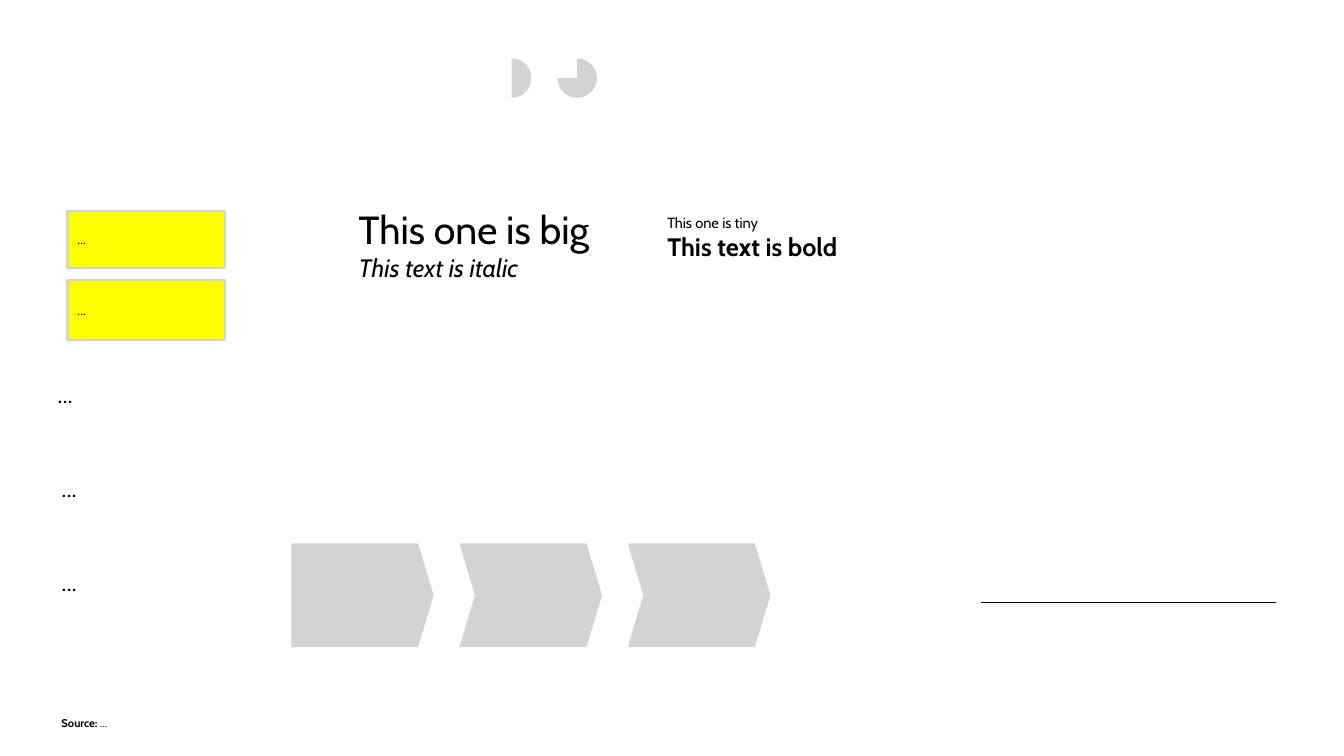
from lxml import etree
from pptx import Presentation
from pptx.dml.color import RGBColor
from pptx.enum.shapes import MSO_CONNECTOR, MSO_SHAPE
from pptx.enum.text import MSO_ANCHOR, MSO_AUTO_SIZE as AutoSize, PP_ALIGN
from pptx.oxml.ns import qn
from pptx.util import Inches, Pt

# Content: each paragraph is a list of (text, size, style) runs
WIDTH, HEIGHT = 13.33, 7.5
FONT = "Cabin"
COLORS = {"text": "000000", "grey": "D3D3D3", "note": "FFFF00", "paper": "FFFFFF"}
BODY = [[("...", 18, "")]]
NOTE = [[("...", 10, "")]]
TINY_BOLD = [[("This one is tiny", 10.5, "")], [("This text is bold", 18, "bold")]]
BIG_ITALIC = [[("This one is big", 28, "")], [("This text is italic", 18, "italic")]]
SOURCE = [[("Source:", 8, "bold"), (" ...", 8, "")]]
PIE_ENDS = [90, 180]
STEPS = [MSO_SHAPE.PENTAGON, MSO_SHAPE.CHEVRON, MSO_SHAPE.CHEVRON]

# Grid, in inches
MARGIN = 0.61
BODY_LEFTS, BODY_TOP, BODY_STEP = [0.57, MARGIN, MARGIN], 3.75, 0.935
NOTE_ROWS = [(2.09, 0.57), (2.78, 0.59)]
PIE_LEFT, PIE_TOP, PIE_STEP, PIE_SIZE = 4.88, 0.58, 0.65, 0.39
STEP_LEFT, STEP_TOP, STEP_PITCH = 2.9, 5.4, 1.67
RULE_LEFT, RULE_RIGHT, RULE_TOP = 9.73, 12.66, 5.98


def color(name):
    return RGBColor.from_string(COLORS[name])


def write(shape, paragraphs):
    frame = shape.text_frame
    for index, runs in enumerate(paragraphs):
        paragraph = frame.add_paragraph() if index else frame.paragraphs[0]
        paragraph.alignment = PP_ALIGN.LEFT
        for text, size, style in runs:
            run = paragraph.add_run()
            run.text = text
            run.font.name, run.font.size = FONT, Pt(size)
            run.font.bold, run.font.italic = style == "bold", style == "italic"
            run.font.color.rgb = color("text")


def add_text(box, paragraphs, inset=True, wrap=True, anchor=MSO_ANCHOR.TOP):
    shape = slide.shapes.add_textbox(*map(Inches, box))
    frame = shape.text_frame
    frame.word_wrap, frame.vertical_anchor = wrap, anchor
    frame.auto_size = AutoSize.SHAPE_TO_FIT_TEXT
    if not inset:
        frame.margin_left = frame.margin_right = 0
        frame.margin_top = frame.margin_bottom = 0
    write(shape, paragraphs)


def add_block(shapes, kind, box, fill, line=None):
    shape = shapes.add_shape(kind, *map(Inches, box))
    shape.shadow.inherit = False
    shape.fill.solid()
    shape.fill.fore_color.rgb = color(fill)
    if line:
        shape.line.color.rgb = color(line)
        shape.line.width = Pt(1.5)
    else:
        shape.line.fill.background()
    return shape


presentation = Presentation()
presentation.slide_width, presentation.slide_height = Inches(WIDTH), Inches(HEIGHT)
slide = presentation.slides.add_slide(presentation.slide_layouts[6])

# Text samples
for row, left in enumerate(BODY_LEFTS):
    add_text((left, BODY_TOP + row * BODY_STEP, 5.56, 0.61), BODY, inset=False)
add_text((6.52, 2.07, 2.66, 0.58), TINY_BOLD)
add_text((3.46, 1.99, 2.66, 0.88), BIG_ITALIC)

# Progress pies, each on a round backing
for column, end in enumerate(PIE_ENDS):
    group = slide.shapes.add_group_shape()
    box = (PIE_LEFT + column * PIE_STEP, PIE_TOP, PIE_SIZE, PIE_SIZE)
    add_block(group.shapes, MSO_SHAPE.OVAL, box, "paper", "paper")
    pie = add_block(group.shapes, MSO_SHAPE.PIE, box, "grey")
    for index, degrees in enumerate((270, end)):
        pie.adjustments[index] = degrees * 0.6  # 60000 units per degree

# Rule
rule = slide.shapes.add_connector(
    MSO_CONNECTOR.STRAIGHT, *map(Inches, (RULE_LEFT, RULE_TOP, RULE_RIGHT, RULE_TOP)))
rule.line.color.rgb = color("text")
rule.line.width = Pt(0.5)
etree.SubElement(rule.element.spPr, qn("a:effectLst"))

# Yellow notes
for top, height in NOTE_ROWS:
    note = add_block(slide.shapes, MSO_SHAPE.RECTANGLE, (0.67, top, 1.56, height), "note", "grey")
    note.text_frame.vertical_anchor = MSO_ANCHOR.MIDDLE
    write(note, NOTE)

# Source line
add_text((MARGIN, 7.11, 0.51, 0.13), SOURCE, inset=False, wrap=False, anchor=MSO_ANCHOR.MIDDLE)

# Process arrows
for column, kind in enumerate(STEPS):
    box = (STEP_LEFT + column * STEP_PITCH, STEP_TOP, 1.39, 1.01)
    add_block(slide.shapes, kind, box, "grey", "grey").adjustments[0] = 0.15

presentation.save("out.pptx")
